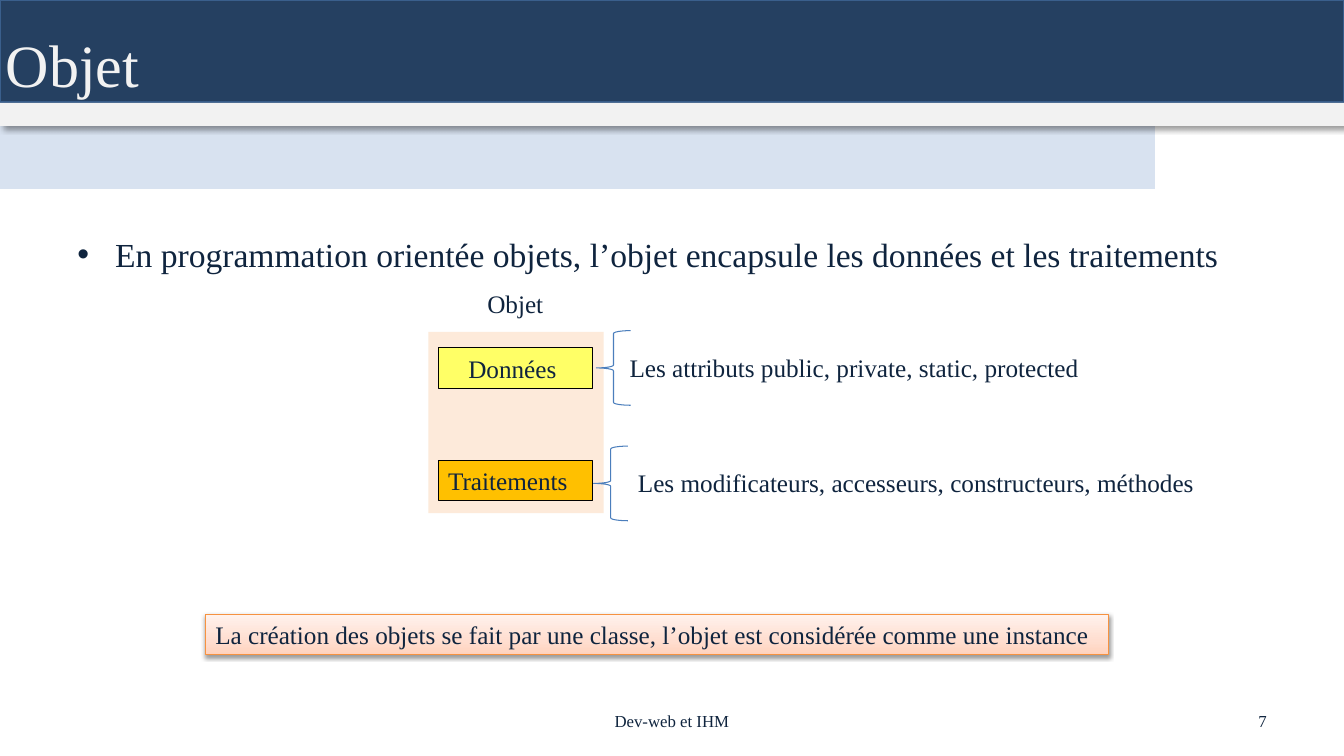
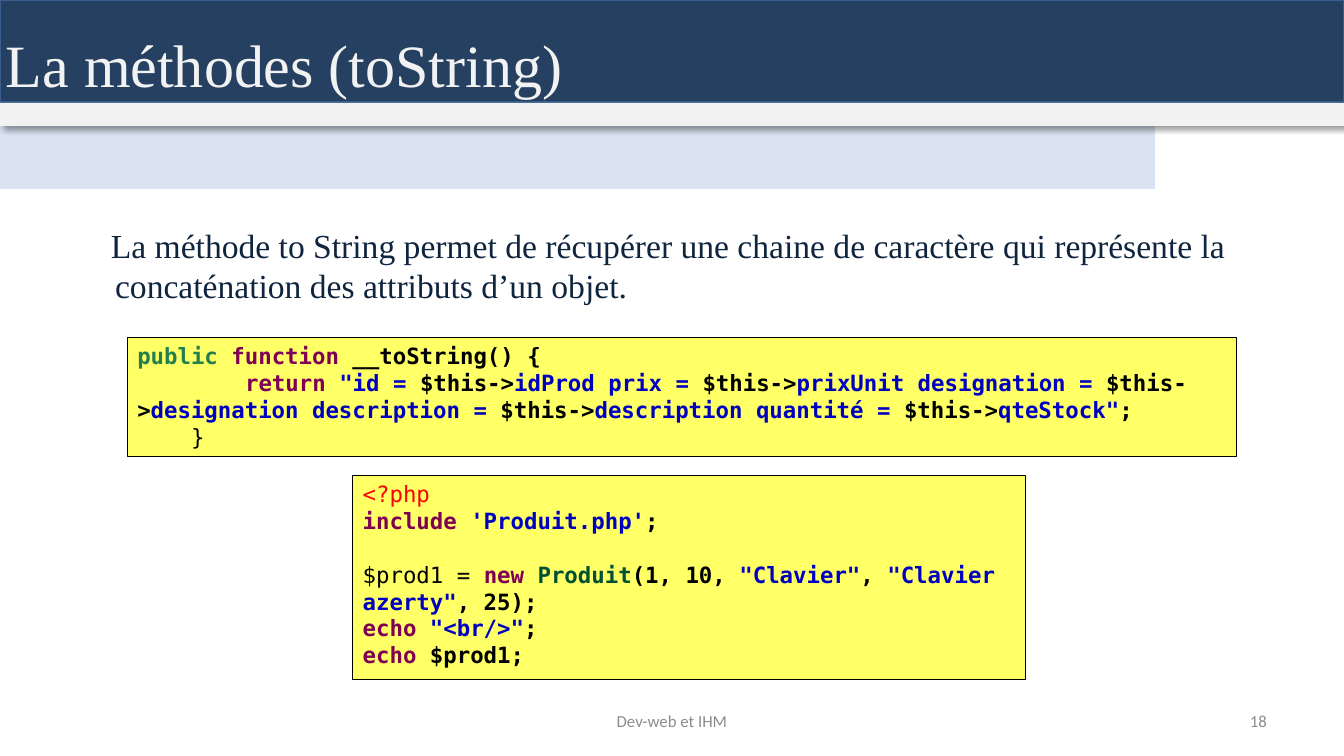
"""Build two course slides on objects and the toString method in PHP."""
from copy import deepcopy
from dataclasses import dataclass
from typing import NamedTuple, Optional

from lxml.etree import SubElement
from pptx import Presentation
from pptx.dml.color import RGBColor
from pptx.enum.shapes import MSO_SHAPE as Preset
from pptx.enum.text import MSO_ANCHOR as Anchor, MSO_AUTO_SIZE as AutoSize, PP_ALIGN as Align
from pptx.oxml.ns import qn
from pptx.presentation import Presentation as Deck
from pptx.shapes.autoshape import Shape
from pptx.slide import Slide
from pptx.text.text import TextFrame, _Paragraph as Paragraph
from pptx.util import Pt

NAVY = RGBColor(0x25, 0x40, 0x61)
NAVY_EDGE = RGBColor(0x3A, 0x5F, 0x8C)
PALE_BLUE = RGBColor(0xD8, 0xE2, 0xF0)
OFF_WHITE = RGBColor(0xF2, 0xF2, 0xF2)
INK = RGBColor(0x0F, 0x24, 0x3E)
GREY = RGBColor(0x8C, 0x8C, 0x8C)
BLACK = RGBColor(0, 0, 0)
PEACH = RGBColor(0xFD, 0xEA, 0xDA)
YELLOW = RGBColor(0xFF, 0xFF, 0x66)
AMBER = RGBColor(0xFF, 0xC0, 0x00)
BRACE_BLUE = RGBColor(0x4B, 0x7E, 0xBC)
ORANGE = RGBColor(0xF6, 0x92, 0x40)
NOTE_STOPS = (
    (0, RGBColor(0xFF, 0xD2, 0xBD)),
    (0.35, RGBColor(0xFF, 0xDE, 0xD0)),
    (1, RGBColor(0xFF, 0xF2, 0xED)),
)
GREEN = RGBColor(0x22, 0x80, 0x4C)
DARK_GREEN = RGBColor(0x00, 0x50, 0x32)
PURPLE = RGBColor(0x7F, 0x00, 0x55)
STRING_BLUE = RGBColor(0x00, 0x00, 0xC0)
RED = RGBColor(0xFF, 0, 0)

SERIF = "Times New Roman"
SANS = "Calibri"
MONO = "DejaVu Sans Mono"
CODE_SIZE = 16
CODE_CHAR = 9.63
CODE_LINE = 19


class Box(NamedTuple):
    """Hold left, top, width and height in points."""

    left: float
    top: float
    width: float
    height: float


class Shadow(NamedTuple):
    """Hold the opacity in percent, blur and distance in points, and angle."""

    opacity: int
    blur: float
    distance: float
    angle: int


class TextStyle(NamedTuple):
    """Hold the font settings of a paragraph."""

    size: float
    color: RGBColor = INK
    face: str = SERIF
    align: Align = Align.LEFT


class Token(NamedTuple):
    """Hold one coloured piece of code."""

    text: str
    color: RGBColor = BLACK
    bold: bool = True


@dataclass(frozen=True)
class Panel:
    """Describe a filled or outlined preset shape."""

    box: Box
    fill: Optional[RGBColor] = None
    line: Optional[RGBColor] = None
    line_width: float = 0.75
    shadow: Optional[Shadow] = None
    preset: Preset = Preset.RECTANGLE


@dataclass(frozen=True)
class CodeLine:
    """Describe a line of code, its indent in characters and blank lines above."""

    tokens: tuple[Token, ...]
    indent: int = 0
    gap: int = 0


@dataclass(frozen=True)
class Member:
    """Describe a part of the object, its brace and its explanation."""

    name: str
    align: Align
    fill: RGBColor
    top: float
    brace: Box
    detail: str
    detail_box: Box


BAND_SHADOW = Shadow(40, 4, 3, 45)
BANDS = (
    Panel(Box(0, 0, 960, 73.5), NAVY, NAVY_EDGE, 2, BAND_SHADOW),
    Panel(Box(0, 90, 825, 45), PALE_BLUE),
    Panel(Box(0, 73.5, 960, 16.5), OFF_WHITE, shadow=BAND_SHADOW),
)
TITLE_BOX = Box(-3, 21.6, 525, 55.5)
TITLE_STYLE = TextStyle(42.9, OFF_WHITE)
FOOTER_BOX = Box(328, 500.5, 304, 28.8)
NUMBER_BOX = Box(688, 500.5, 224, 28.8)
LABEL_STYLE = TextStyle(18)

MEMBERS = (
    Member("Données ", Align.CENTER, YELLOW, 248.5, Box(426, 236.2, 24.5, 53.3),
           "Les attributs public, private, static, protected", Box(442.6, 248.4, 348, 29)),
    Member("Traitements", Align.LEFT, AMBER, 328.7, Box(424, 318.7, 24.5, 53.3),
           "Les modificateurs, accesseurs, constructeurs, méthodes", Box(448.6, 330, 428, 29)),
)

THIS = Token("$this->")
TO_STRING_CODE = (
    CodeLine((Token("public ", GREEN), Token("function", PURPLE), Token(" __toString() {"))),
    CodeLine((
        Token("return ", PURPLE), Token('"id = ', STRING_BLUE), THIS,
        Token("idProd prix = ", STRING_BLUE), THIS,
        Token("prixUnit designation = ", STRING_BLUE), THIS,
        Token("designation description = ", STRING_BLUE), THIS,
        Token("description quantité = ", STRING_BLUE), THIS,
        Token('qteStock"', STRING_BLUE), Token(";"),
    ), indent=8),
    CodeLine((Token("}", bold=False),), indent=4),
)
USAGE_CODE = (
    CodeLine((Token("<?php", RED, False),)),
    CodeLine((Token("include ", PURPLE), Token("'Produit.php'", STRING_BLUE), Token(";"))),
    CodeLine((
        Token("$prod1 = ", bold=False), Token("new ", PURPLE), Token("Produit", DARK_GREEN),
        Token("(1, 10, "), Token('"Clavier"', STRING_BLUE), Token(", "),
        Token('"Clavier azerty"', STRING_BLUE), Token(", 25);"),
    ), gap=1),
    CodeLine((Token("echo ", PURPLE), Token('"<br/>"', STRING_BLUE), Token(";"))),
    CodeLine((Token("echo ", PURPLE), Token("$prod1;"))),
)


def place(shape: Shape, box: Box) -> None:
    """Move and size a shape."""
    shape.left, shape.top, shape.width, shape.height = map(Pt, box)


def style_paragraph(paragraph: Paragraph, style: TextStyle) -> None:
    """Apply a text style to a paragraph."""
    paragraph.alignment = style.align
    paragraph.font.size = Pt(style.size)
    paragraph.font.name = style.face
    paragraph.font.color.rgb = style.color


def set_indent(paragraph: Paragraph, margin: float, first_line: float) -> None:
    """Set the left margin and the first-line indent of a paragraph."""
    properties = paragraph._p.get_or_add_pPr()
    properties.set("marL", str(Pt(margin)))
    properties.set("indent", str(Pt(first_line)))


def write(frame: TextFrame, text: str, style: TextStyle, anchor: Anchor = Anchor.TOP,
          wrap: bool = True) -> Paragraph:
    """Write one styled paragraph into a text frame."""
    frame.auto_size = AutoSize.NONE
    frame.word_wrap = wrap
    frame.vertical_anchor = anchor
    paragraph = frame.paragraphs[0]
    paragraph.text = text
    style_paragraph(paragraph, style)
    return paragraph


def cast_shadow(shape: Shape, shadow: Shadow) -> None:
    """Give a shape an outer shadow."""
    effects = shape.element.spPr.find(qn("a:effectLst"))
    outer = SubElement(effects, qn("a:outerShdw"), blurRad=str(Pt(shadow.blur)),
                       dist=str(Pt(shadow.distance)), dir=str(shadow.angle * 60000),
                       rotWithShape="0")
    color = SubElement(outer, qn("a:srgbClr"), val=str(BLACK))
    SubElement(color, qn("a:alpha"), val=str(shadow.opacity * 1000))


def draw_panel(slide: Slide, panel: Panel) -> Shape:
    """Draw a panel with its fill, line and shadow."""
    shape = slide.shapes.add_shape(panel.preset, *map(Pt, panel.box))
    shape.shadow.inherit = False
    if panel.fill is None:
        shape.fill.background()
    else:
        shape.fill.solid()
        shape.fill.fore_color.rgb = panel.fill
    if panel.line is None:
        shape.line.fill.background()
    else:
        shape.line.color.rgb = panel.line
        shape.line.width = Pt(panel.line_width)
    if panel.shadow:
        cast_shadow(shape, panel.shadow)
    return shape


def draw_label(slide: Slide, text: str, box: Box, style: TextStyle = LABEL_STYLE,
               anchor: Anchor = Anchor.TOP) -> None:
    """Draw a one-line text box."""
    label = slide.shapes.add_textbox(*map(Pt, box))
    write(label.text_frame, text, style, anchor, wrap=style.align != Align.LEFT)


def draw_code(slide: Slide, box: Box, lines: tuple[CodeLine, ...]) -> None:
    """Draw a yellow panel of coloured code."""
    frame = draw_panel(slide, Panel(box, YELLOW, BLACK)).text_frame
    frame.word_wrap = True
    frame.vertical_anchor = Anchor.TOP
    for index, line in enumerate(lines):
        paragraph = frame.add_paragraph() if index else frame.paragraphs[0]
        style_paragraph(paragraph, TextStyle(CODE_SIZE, BLACK, MONO))
        set_indent(paragraph, 0, line.indent * CODE_CHAR)
        paragraph.space_before = Pt(line.gap * CODE_LINE)
        for token in line.tokens:
            run = paragraph.add_run()
            run.text = token.text
            run.font.bold = token.bold
            run.font.color.rgb = token.color


def draw_member(slide: Slide, member: Member) -> None:
    """Draw a part of the object with its brace and explanation."""
    name = draw_panel(slide, Panel(Box(313, member.top, 110.5, 28.8), member.fill, BLACK))
    write(name.text_frame, member.name, LABEL_STYLE._replace(align=member.align))
    draw_panel(slide, Panel(member.brace, line=BRACE_BLUE, preset=Preset.LEFT_BRACE))
    draw_label(slide, member.detail, member.detail_box)


def draw_note(slide: Slide, text: str) -> None:
    """Draw the gradient box that closes the first slide."""
    note = draw_panel(slide, Panel(Box(146.7, 438.7, 645.3, 29), PEACH, ORANGE,
                                   shadow=Shadow(38, 3.1, 1.6, 90)))
    note.fill.gradient()
    note.fill.gradient_angle = 90
    stop_list = note.element.spPr.find(qn("a:gradFill")).find(qn("a:gsLst"))
    stop_list.insert(1, deepcopy(stop_list[0]))
    for stop, (position, color) in zip(note.fill.gradient_stops, NOTE_STOPS):
        stop.position = position
        stop.color.rgb = color
    write(note.text_frame, text, LABEL_STYLE)


def add_course_slide(deck: Deck, title: str, body: str, body_top: float, number: str,
                     footer: TextStyle) -> tuple[Slide, Paragraph]:
    """Add a slide with the shared bands, title, body and footer."""
    slide = deck.slides.add_slide(deck.slide_layouts[1])
    for band in BANDS:
        draw_panel(slide, band)
    heading, content = slide.placeholders
    heading.element.getparent().append(heading.element)
    place(heading, TITLE_BOX)
    write(heading.text_frame, title, TITLE_STYLE).line_spacing = 0.9
    place(content, Box(48, body_top, 864, 482.5 - body_top))
    statement = write(content.text_frame, body, TextStyle(24))
    draw_label(slide, "Dev-web et IHM", FOOTER_BOX, footer._replace(align=Align.CENTER),
               Anchor.MIDDLE)
    draw_label(slide, number, NUMBER_BOX, footer._replace(align=Align.RIGHT), Anchor.MIDDLE)
    return slide, statement


def build_object_slide(deck: Deck) -> None:
    """Build the slide on what an object encapsulates."""
    slide, statement = add_course_slide(
        deck, "Objet",
        "En programmation orientée objets, l’objet encapsule les données et les traitements",
        163.5, "7", TextStyle(12))
    set_indent(statement, 27, -27)
    draw_panel(slide, Panel(Box(306, 237, 125.3, 129.6), PEACH))
    draw_label(slide, "Objet", Box(341, 202.5, 55.5, 29))
    for member in MEMBERS:
        draw_member(slide, member)
    draw_note(slide, "La création des objets se fait par une classe, "
                     "l’objet est considérée comme une instance")


def build_to_string_slide(deck: Deck) -> None:
    """Build the slide on the toString method."""
    slide, statement = add_course_slide(
        deck, "La méthodes (toString)",
        "La méthode to String permet de récupérer une chaine de caractère qui représente "
        "la concaténation des attributs d’un objet.",
        157, "18", TextStyle(12, GREY, SANS))
    set_indent(statement, 27, -3)
    SubElement(statement._p.get_or_add_pPr(), qn("a:buNone"))
    properties = statement._p.get_or_add_pPr()
    properties.insert(0, properties.find(qn("a:buNone")))
    draw_code(slide, Box(91, 241, 792, 85), TO_STRING_CODE)
    draw_code(slide, Box(252, 339.7, 480.5, 145.6), USAGE_CODE)


course = Presentation()
course.slide_width, course.slide_height = Pt(960), Pt(540)
build_object_slide(course)
build_to_string_slide(course)
course.save("out.pptx")
